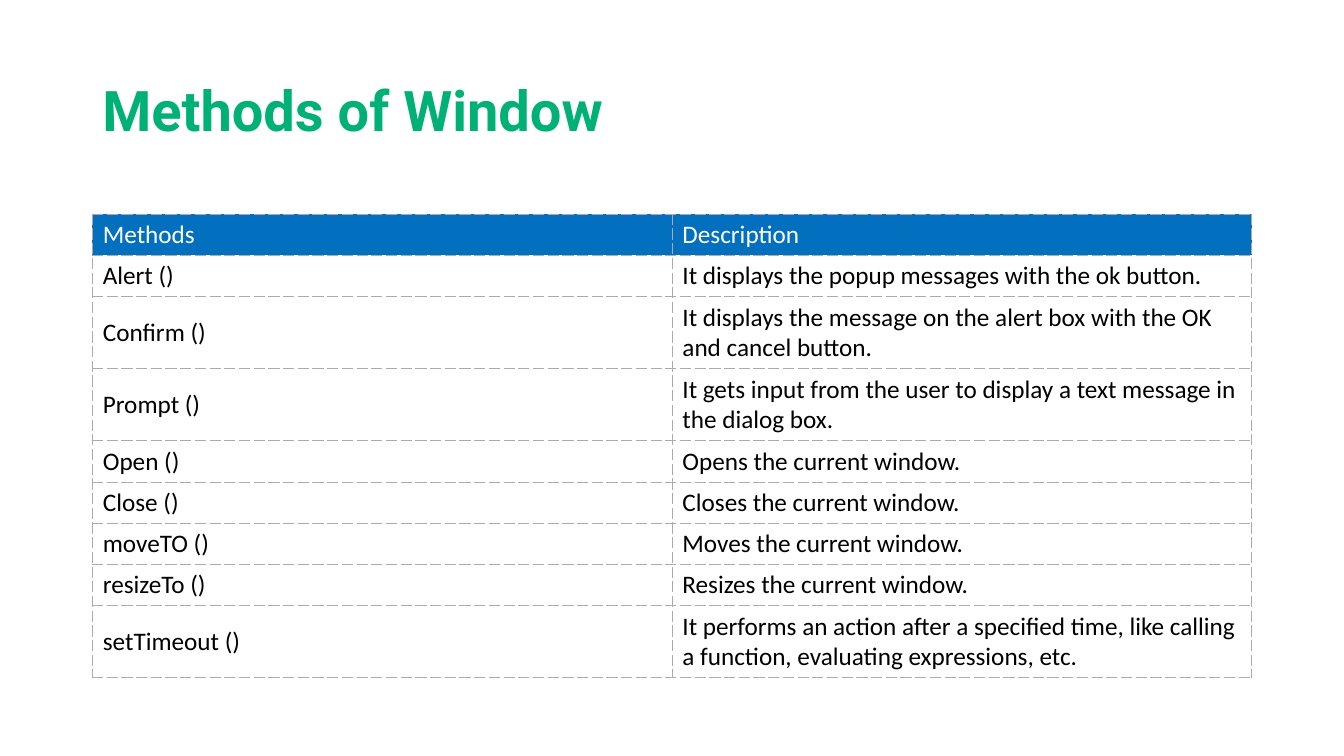
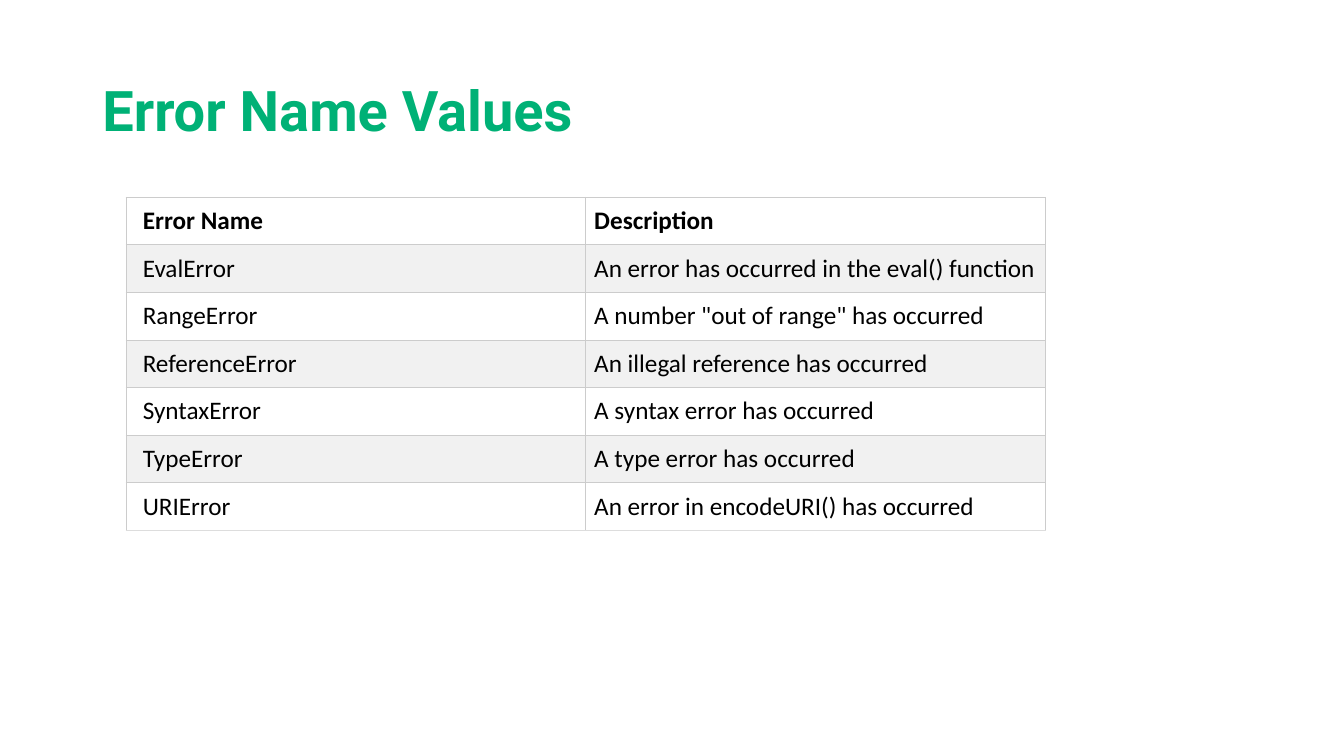
from dataclasses import dataclass

from lxml.etree import SubElement
from pptx import Presentation
from pptx.dml.color import RGBColor
from pptx.enum.text import MSO_ANCHOR, MSO_AUTO_SIZE, PP_ALIGN
from pptx.oxml.ns import qn
from pptx.presentation import Presentation as Deck
from pptx.slide import Slide
from pptx.table import _Cell
from pptx.util import Emu, Pt

EMU_PER_PX = 9525
TITLE_ONLY = 5
GREEN = "00B176"
BLUE = "0270BF"
WHITE = "FFFFFF"
BLACK = "000000"
STRIPE = "F1F1F1"


@dataclass(frozen=True)
class Margins:
    left: int
    top: int
    right: int
    bottom: int


@dataclass(frozen=True)
class TableLook:
    left: int
    top: int
    column_width: int
    line_height: int
    wrapped_height: int
    wrap_at: int
    header_fill: str
    header_text: str
    header_bold: bool
    stripe: str
    border: str
    last_border: str
    dash: str
    anchor: MSO_ANCHOR
    margins: tuple[Margins, Margins]


@dataclass(frozen=True)
class Topic:
    title: str
    look: TableLook
    rows: tuple[tuple[str, str], ...]


PLAIN = Margins(10, 5, 10, 5)

METHODS = Topic(
    "Methods of Window",
    TableLook(88, 204, 552, 39, 68, 52, BLUE, WHITE, False, WHITE,
              "ABABAB", "ABABAB", "dash", MSO_ANCHOR.MIDDLE, (PLAIN, PLAIN)),
    (
        ("Methods", "Description"),
        ("Alert ()", "It displays the popup messages with the ok button."),
        ("Confirm ()", "It displays the message on the alert box with the OK and cancel button."),
        ("Prompt ()", "It gets input from the user to display a text message in the dialog box."),
        ("Open ()", "Opens the current window."),
        ("Close ()", "Closes the current window."),
        ("moveTO ()", "Moves the current window."),
        ("resizeTo ()", "Resizes the current window."),
        ("setTimeout ()", "It performs an action after a specified time, like calling a function, "
                          "evaluating expressions, etc."),
    ),
)

ERRORS = Topic(
    "Error Name Values",
    TableLook(120, 188, 438, 45, 74, 52, WHITE, BLACK, True, STRIPE,
              "CCCCCC", "DDDDDD", "solid", MSO_ANCHOR.TOP,
              (Margins(16, 8, 8, 8), Margins(8, 8, 8, 8))),
    (
        ("Error Name", "Description"),
        ("EvalError", "An error has occurred in the eval() function"),
        ("RangeError", 'A number "out of range" has occurred'),
        ("ReferenceError", "An illegal reference has occurred"),
        ("SyntaxError", "A syntax error has occurred"),
        ("TypeError", "A type error has occurred"),
        ("URIError", "An error in encodeURI() has occurred"),
    ),
)


def px(length: int) -> Emu:
    return Emu(length * EMU_PER_PX)


def color(value: str) -> RGBColor:
    return RGBColor.from_string(value)


def style_font(font, family: str, size: int, ink: str, bold: bool) -> None:
    font.name = family
    font.size = Pt(size)
    font.color.rgb = color(ink)
    font.bold = bold


def add_title(slide: Slide, wording: str) -> None:
    title = slide.shapes.title
    title.left, title.top, title.width, title.height = map(px, (88, 38, 1104, 139))
    frame = title.text_frame
    frame.text = wording
    frame.auto_size = MSO_AUTO_SIZE.NONE
    frame.vertical_anchor = MSO_ANCHOR.MIDDLE
    heading = frame.paragraphs[0]
    heading.alignment = PP_ALIGN.LEFT
    heading.line_spacing = 0.9
    style_font(heading.runs[0].font, "Roboto", 40, GREEN, True)


def add_borders(cell: _Cell, look: TableLook, bottom: str) -> None:
    properties = cell._tc.get_or_add_tcPr()
    for side in ("L", "R", "T", "B"):
        edge = SubElement(properties, qn(f"a:ln{side}"), w=str(Pt(0.75)))
        ink = SubElement(edge, qn("a:solidFill"))
        SubElement(ink, qn("a:srgbClr"), val=bottom if side == "B" else look.border)
        SubElement(edge, qn("a:prstDash"), val=look.dash)


def fill_cell(cell: _Cell, wording: str, look: TableLook, margins: Margins,
              row: int, is_last: bool) -> None:
    is_header = row == 0
    cell.text_frame.text = wording
    cell.vertical_anchor = look.anchor
    cell.margin_left, cell.margin_top = px(margins.left), px(margins.top)
    cell.margin_right, cell.margin_bottom = px(margins.right), px(margins.bottom)
    add_borders(cell, look, look.last_border if is_last else look.border)
    body_fill = look.stripe if row % 2 else WHITE
    cell.fill.solid()
    cell.fill.fore_color.rgb = color(look.header_fill if is_header else body_fill)
    style_font(cell.text_frame.paragraphs[0].runs[0].font, "Calibri", 18,
               look.header_text if is_header else BLACK, is_header and look.header_bold)


def add_reference_table(slide: Slide, topic: Topic) -> None:
    look = topic.look
    heights = [look.wrapped_height if len(description) > look.wrap_at else look.line_height
               for _, description in topic.rows]
    table = slide.shapes.add_table(
        len(topic.rows), 2, px(look.left), px(look.top),
        px(2 * look.column_width), px(sum(heights))).table
    table.first_row = False
    table.horz_banding = False
    for column in table.columns:
        column.width = px(look.column_width)
    for row, (entry, height) in enumerate(zip(topic.rows, heights)):
        table.rows[row].height = px(height)
        for column, wording in enumerate(entry):
            fill_cell(table.cell(row, column), wording, look, look.margins[column],
                      row, row == len(topic.rows) - 1)


def add_topic(deck: Deck, topic: Topic) -> None:
    slide = deck.slides.add_slide(deck.slide_layouts[TITLE_ONLY])
    add_title(slide, topic.title)
    add_reference_table(slide, topic)


def main() -> None:
    deck = Presentation()
    deck.slide_width, deck.slide_height = px(1280), px(720)
    for topic in (METHODS, ERRORS):
        add_topic(deck, topic)
    deck.save("out.pptx")


if __name__ == "__main__":
    main()
